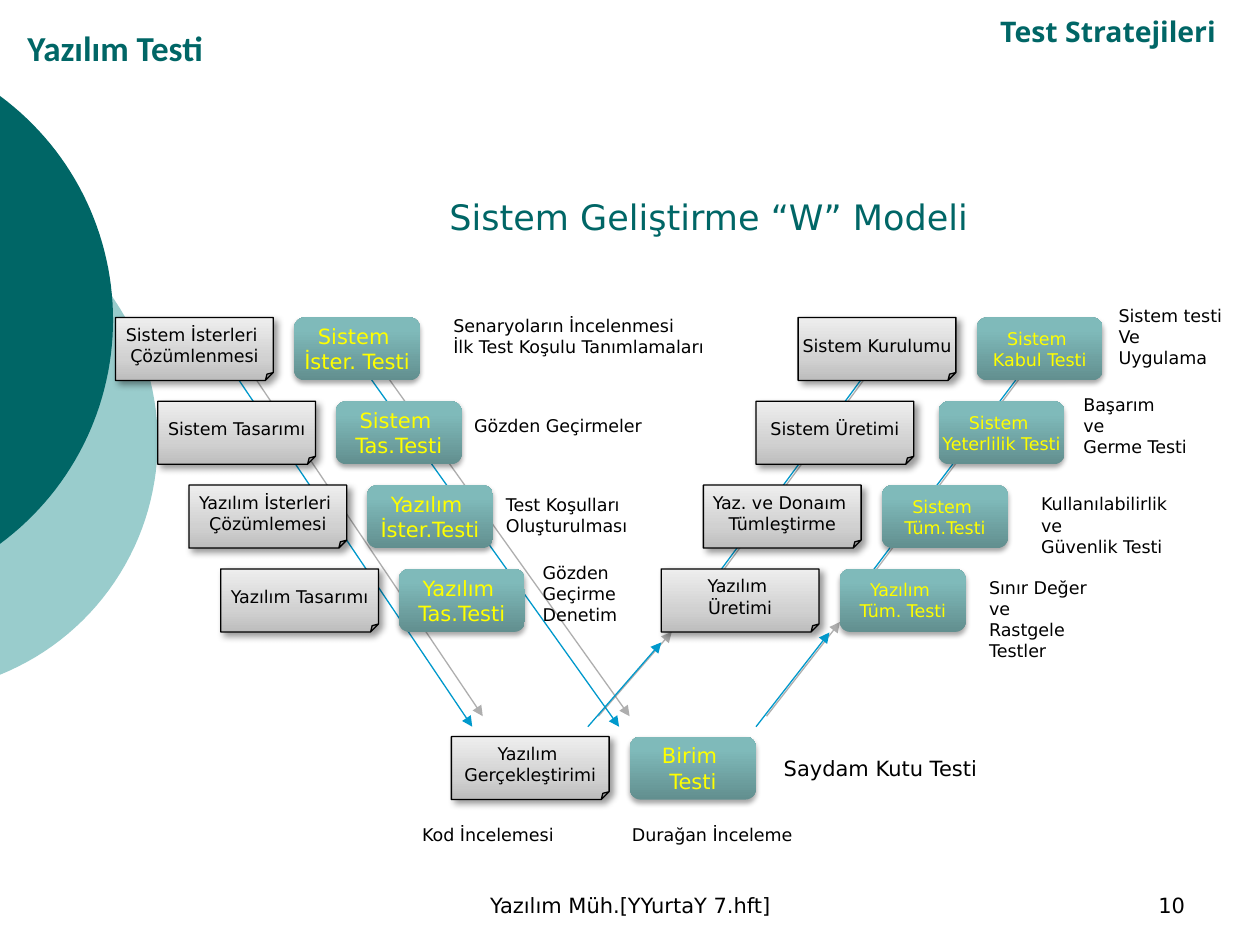
from math import acos, cos, sin

from pptx import Presentation
from pptx.dml.color import RGBColor
from pptx.enum.shapes import MSO_CONNECTOR, MSO_SHAPE
from pptx.enum.text import MSO_ANCHOR, MSO_AUTO_SIZE, PP_ALIGN
from pptx.oxml import parse_xml
from pptx.oxml.ns import nsdecls
from pptx.util import Cm, Pt

TEAL, PALE_TEAL, BLUE, BLACK, YELLOW = "006666", "99CCCC", "0099CC", "000000", "FFFF00"
BODY_FONT = "DejaVu Sans"
FIRST_ROW, ROW_STEP, NODE_HEIGHT = 6.4, 1.69, 1.27

PHASE = {
    "preset": MSO_SHAPE.FOLDED_CORNER, "width": 3.18, "adjust": 12500, "color": BLACK,
    "stops": [(0, "BDBDBD"), (35, "D1D1D1"), (100, "EEEEEE")],
    "outline": BLACK, "shadow": (BLACK, 40, 4, 3, 45),
}
TEST = {
    "preset": MSO_SHAPE.ROUNDED_RECTANGLE, "width": 2.54, "adjust": 16700, "color": YELLOW,
    "stops": [(0, "628F8F"), (80, "7FBABA"), (100, "7EBCBC")],
    "outline": None, "shadow": (BLACK, 35, 3.1, 1.8, 90),
}
ARROW_SHADOW = ("5F5F5F", 50, 0, 8.5, 315)

DISCS = [(-1.9, 8.89, 5.08, PALE_TEAL), (-3.33, 6.45, 5.61, TEAL)]

ARROWS = [
    (7.2, 7.25, 12.48, 14.65, True),
    (17.15, 12.1, 20.95, 7.03, False),
    (14.39, 11.68, 17.99, 6.8, False),
    (4.66, 7.43, 9.52, 14.65, True),
    (15.24, 14.65, 16.72, 12.75, True),
    (11.85, 14.65, 13.33, 12.95, True),
]

NODES = [
    (PHASE, 2.33, 0, 10, "Sistem İsterleri \nÇözümlenmesi"),
    (PHASE, 3.18, 1, 10, "Sistem Tasarımı"),
    (PHASE, 3.81, 2, 10, "Yazılım İsterleri \nÇözümlemesi"),
    (PHASE, 4.45, 3, 10, "Yazılım Tasarımı"),
    (PHASE, 9.1, 5, 10, "Yazılım \nGerçekleştirimi"),
    (TEST, 5.93, 0, 12, "Sistem \nİster. Testi"),
    (TEST, 6.77, 1, 12, "Sistem \nTas.Testi"),
    (TEST, 7.4, 2, 12, "Yazılım \nİster.Testi"),
    (TEST, 8.04, 3, 12, "Yazılım \nTas.Testi"),
    (TEST, 12.7, 5, 12, "Birim \nTesti"),
    (PHASE, 13.33, 3, 10, "Yazılım \nÜretimi"),
    (PHASE, 14.18, 2, 10, "Yaz. ve Donaım \nTümleştirme"),
    (PHASE, 15.24, 1, 10, "Sistem Üretimi"),
    (PHASE, 16.09, 0, 10, "Sistem Kurulumu"),
    (TEST, 19.69, 0, 10, "Sistem \nKabul Testi"),
    (TEST, 18.92, 1, 10, "Sistem \nYeterlilik Testi"),
    (TEST, 17.78, 2, 10, "Sistem \nTüm.Testi"),
    (TEST, 16.93, 3, 10, "Yazılım \nTüm. Testi"),
]

LABELS = [
    (8.89, 6.14, 5.92, 1.27, 10, "Senaryoların İncelenmesi\nİlk Test Koşulu Tanımlamaları"),
    (9.31, 8.25, 5.92, 0.64, 10, "Gözden Geçirmeler"),
    (9.95, 9.95, 5.29, 0.85, 10, "Test Koşulları\nOluşturulması"),
    (10.69, 11.22, 5.29, 1.48, 10, "Gözden\nGeçirme\nDenetim"),
    (8.26, 16.51, 5.92, 0.64, 10, "Kod İncelemesi"),
    (12.49, 16.51, 5.92, 0.64, 10, "Durağan İnceleme"),
    (15.55, 15.16, 5.92, 0.64, 12, "Saydam Kutu Testi"),
    (19.69, 11.64, 3.6, 1.69, 10, "Sınır Değer\nve\nRastgele\nTestler"),
    (20.74, 9.74, 3.6, 1.69, 10, "Kullanılabilirlik\nve\nGüvenlik Testi"),
    (21.59, 7.73, 2.75, 1.69, 10, "Başarım\nve\nGerme Testi"),
    (22.3, 5.94, 2.75, 1.69, 10, "Sistem testi\nVe\nUygulama"),
]


def rgb(value):
    return RGBColor.from_string(value)


def apply(target, values):
    for name, value in values.items():
        setattr(target, name, value)


def write(frame, text, size, color=BLACK, font=BODY_FONT, bold=False,
          align=PP_ALIGN.LEFT, anchor=MSO_ANCHOR.MIDDLE, wrap=True):
    apply(frame, {"auto_size": MSO_AUTO_SIZE.NONE, "word_wrap": wrap, "vertical_anchor": anchor})
    for index, line in enumerate(text.split("\n")):
        paragraph = frame.add_paragraph() if index else frame.paragraphs[0]
        paragraph.alignment = align
        run = paragraph.add_run()
        run.text = line
        apply(run.font, {"name": font, "size": Pt(size), "bold": bold})
        run.font.color.rgb = rgb(color)


def add_text(slide, left, top, width, height, text, size, **style):
    box = slide.shapes.add_textbox(Cm(left), Cm(top), Cm(width), Cm(height))
    write(box.text_frame, text, size, **style)
    return box


def add_shadow(shape, color, opacity, blur, distance, angle):
    shape._element.spPr.append(parse_xml(
        f'<a:effectLst {nsdecls("a")}><a:outerShdw blurRad="{Pt(blur)}" dist="{Pt(distance)}" '
        f'dir="{angle * 60000}" algn="ctr" rotWithShape="0"><a:srgbClr val="{color}">'
        f'<a:alpha val="{opacity * 1000}"/></a:srgbClr></a:outerShdw></a:effectLst>'))


def add_gradient(shape, stops):
    marks = "".join(f'<a:gs pos="{position * 1000}"><a:srgbClr val="{color}"/></a:gs>'
                    for position, color in stops)
    shape._element.spPr.append(parse_xml(
        f'<a:gradFill {nsdecls("a")} rotWithShape="1"><a:gsLst>{marks}</a:gsLst>'
        '<a:lin ang="16200000" scaled="0"/></a:gradFill>'))


def add_disc(slide, center_x, center_y, radius, color, steps=60):
    limit = acos(-center_x / radius)
    angles = [limit * (2 * step / steps - 1) for step in range(steps + 1)]
    points = [(Cm(center_x + radius * cos(angle)), Cm(center_y + radius * sin(angle)))
              for angle in angles]
    builder = slide.shapes.build_freeform(*points[0])
    builder.add_line_segments(points[1:], close=True)
    disc = builder.convert_to_shape()
    disc.shadow.inherit = False
    disc.fill.solid()
    disc.fill.fore_color.rgb = rgb(color)
    disc.line.fill.background()


def add_arrow(slide, start_x, start_y, end_x, end_y, has_head):
    arrow = slide.shapes.add_connector(
        MSO_CONNECTOR.STRAIGHT, Cm(start_x), Cm(start_y), Cm(end_x), Cm(end_y))
    arrow.line.width = Pt(0.75)
    arrow.line.color.rgb = rgb(BLUE)
    if has_head:
        arrow._element.spPr.get_or_add_ln().append(
            parse_xml(f'<a:tailEnd {nsdecls("a")} type="triangle"/>'))
    add_shadow(arrow, *ARROW_SHADOW)


def add_node(slide, kind, left, row, size, text):
    node = slide.shapes.add_shape(kind["preset"], Cm(left), Cm(FIRST_ROW + ROW_STEP * row),
                                  Cm(kind["width"]), Cm(NODE_HEIGHT))
    node._element.spPr.prstGeom.rewrite_guides([("adj", kind["adjust"])])
    add_gradient(node, kind["stops"])
    if kind["outline"]:
        node.line.width = Pt(0.75)
        node.line.color.rgb = rgb(kind["outline"])
    else:
        node.line.fill.background()
    add_shadow(node, *kind["shadow"])
    write(node.text_frame, text, size, color=kind["color"], align=PP_ALIGN.CENTER, wrap=False)


def add_headings(slide):
    title = slide.shapes.title
    apply(title, {"left": Cm(0.3), "top": Cm(0.43), "width": Cm(8.26), "height": Cm(1.07)})
    write(title.text_frame, "Yazılım Testi", 20, color=TEAL, font="Calibri", bold=True,
          anchor=MSO_ANCHOR.BOTTOM)
    topic = add_text(slide, 8.05, 0, 16.71, 1.47, "Test Stratejileri", 28, color=TEAL,
                     font="Open Sans", bold=True, align=PP_ALIGN.RIGHT, anchor=MSO_ANCHOR.BOTTOM)
    topic.text_frame.paragraphs[0].runs[0]._r.get_or_add_rPr().set("baseline", "30000")
    add_text(slide, 3.18, 3.81, 22.22, 1.4, "Sistem Geliştirme “W” Modeli", 20, color=TEAL,
             align=PP_ALIGN.CENTER, anchor=MSO_ANCHOR.TOP)


def add_footer(slide):
    add_text(slide, 8.69, 17.36, 8.04, 1.27, "Yazılım Müh.[YYurtaY 7.hft]", 12,
             align=PP_ALIGN.CENTER, anchor=MSO_ANCHOR.BOTTOM)
    add_text(slide, 18.21, 17.36, 5.93, 1.27, "10", 12,
             align=PP_ALIGN.RIGHT, anchor=MSO_ANCHOR.BOTTOM)


def main():
    presentation = Presentation()
    apply(presentation, {"slide_width": Cm(25.4), "slide_height": Cm(19.05)})
    slide = presentation.slides.add_slide(presentation.slide_layouts[5])
    for disc in DISCS:
        add_disc(slide, *disc)
    add_footer(slide)
    add_headings(slide)
    for arrow in ARROWS:
        add_arrow(slide, *arrow)
    for node in NODES:
        add_node(slide, *node)
    for left, top, width, height, size, text in LABELS:
        add_text(slide, left, top, width, height, text, size)
    presentation.save("out.pptx")


if __name__ == "__main__":
    main()
